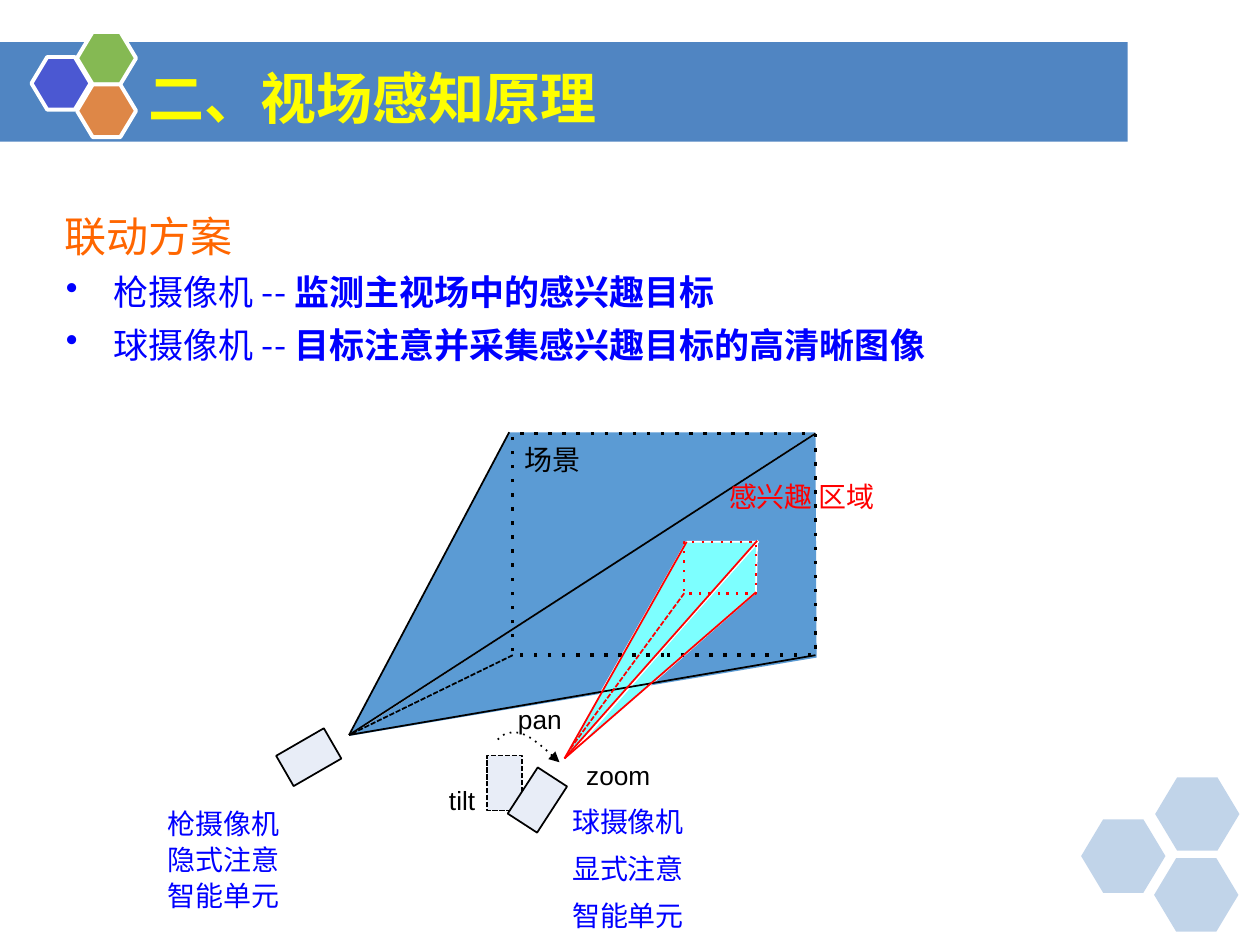
import pptx
import pptx.dml.color
import pptx.enum.shapes
import pptx.enum.text
import pptx.oxml.ns
import pptx.util
from lxml import etree

Pt = pptx.util.Pt
RGB = pptx.dml.color.RGBColor
SHAPE = pptx.enum.shapes.MSO_SHAPE
qn = pptx.oxml.ns.qn

STEEL = RGB(0x50, 0x85, 0xC2)
INDIGO = RGB(0x4B, 0x58, 0xD2)
GREEN = RGB(0x85, 0xB9, 0x53)
COPPER = RGB(0xDE, 0x87, 0x47)
SCENE_BLUE = RGB(0x5B, 0x9B, 0xD4)
CYAN = RGB(0x7D, 0xFF, 0xFF)
CAMERA_GREY = RGB(0xE8, 0xED, 0xF7)
WHITE = RGB(0xFF, 0xFF, 0xFF)
BLACK = RGB(0, 0, 0)
RED = RGB(0xFF, 0, 0)
BLUE = RGB(0, 0, 0xFF)
ORANGE = RGB(0xFF, 0x66, 0)
YELLOW = RGB(0xFF, 0xFF, 0)
CJK = "Noto Sans CJK SC"


def stroke(line, color, weight=1, dash=None, arrow=False):
    line.color.rgb = color
    line.width = Pt(weight)
    ln = line._get_or_add_ln()
    if dash:
        etree.SubElement(ln, qn("a:prstDash"), val=dash)
    if arrow:
        etree.SubElement(ln, qn("a:tailEnd"), type="triangle")


def paint(shape, fill=None, line=None, **line_style):
    shape.shadow.inherit = False
    if fill is None:
        shape.fill.background()
    else:
        shape.fill.solid()
        shape.fill.fore_color.rgb = fill
    if line is None:
        shape.line.fill.background()
    else:
        stroke(shape.line, line, **line_style)
    return shape


def add_preset(slide, kind, left, top, width, height, **style):
    shape = slide.shapes.add_shape(kind, Pt(left), Pt(top), Pt(width), Pt(height))
    return paint(shape, **style)


def add_outline(slide, origin, points, close=True, **style):
    start, *rest = [(Pt(origin[0] + x), Pt(origin[1] + y)) for x, y in points]
    builder = slide.shapes.build_freeform(*start)
    builder.add_line_segments(rest, close=close)
    return paint(builder.convert_to_shape(), **style)


def add_edge(slide, origin, start, end, color, dash=None):
    ends = [Pt(origin[i % 2] + v) for i, v in enumerate((*start, *end))]
    edge = slide.shapes.add_connector(pptx.enum.shapes.MSO_CONNECTOR.STRAIGHT, *ends)
    stroke(edge.line, color, dash=dash)
    etree.SubElement(edge._element.spPr, qn("a:effectLst"))


def add_hexagon(slide, left, top, width, height, **style):
    hexagon = add_preset(slide, SHAPE.HEXAGON, left, top, width, height, **style)
    hexagon.adjustments[0] = 0.3
    return hexagon


def prepare_frame(frame):
    frame.word_wrap = True
    frame.auto_size = pptx.enum.text.MSO_AUTO_SIZE.NONE
    frame.vertical_anchor = pptx.enum.text.MSO_ANCHOR.TOP
    frame.margin_left = frame.margin_top = frame.margin_right = frame.margin_bottom = 0
    return frame


def add_text(slide, left, top, width, height):
    box = slide.shapes.add_textbox(Pt(left), Pt(top), Pt(width), Pt(height))
    return prepare_frame(box.text_frame)


def write(paragraph, text, size, color, pitch, font=CJK, before=0, bold=None):
    """Fill a paragraph; pitch is its exact line height."""
    paragraph.text = text
    paragraph.alignment = pptx.enum.text.PP_ALIGN.LEFT
    paragraph.line_spacing = Pt(pitch)
    paragraph.space_before = Pt(before)
    paragraph.font.size = Pt(size)
    paragraph.font.bold = bold
    paragraph.font.color.rgb = color
    paragraph.font.name = font
    defaults = paragraph._p.get_or_add_pPr().find(qn("a:defRPr"))
    etree.SubElement(defaults, qn("a:ea"), typeface=font)


def add_header(slide, left, top, width, height):
    add_preset(slide, SHAPE.RECTANGLE, left, top, width, height, fill=STEEL)
    for x, y, color in ((18, 8.6, INDIGO), (44, -5.8, GREEN), (44, 24.3, COPPER)):
        add_hexagon(slide, left + x, top + y, 33.8, 30.1, fill=color, line=WHITE, weight=2.25)
    title = slide.shapes.title
    slide.shapes._spTree.append(title._element)  # in front of the band
    title.left, title.top = Pt(left + 85), Pt(top + 12)
    title.width, title.height = Pt(380), Pt(40)
    frame = prepare_frame(title.text_frame)
    write(frame.paragraphs[0], "二、视场感知原理", 32, YELLOW, 38.4, bold=True)


def add_corner_hexagons(slide, left, top):
    for x, y in ((0, 24), (42.3, 0), (41.7, 46.2)):
        hexagon = add_hexagon(slide, left + x, top + y, 48.2, 42, fill=STEEL)
        color = hexagon._element.spPr.find(qn("a:solidFill"))[0]
        etree.SubElement(color, qn("a:alpha"), val="35000")


def add_linkage_plan(slide, left, top, width, height):
    frame = add_text(slide, left, top, width, height)
    write(frame.paragraphs[0], "联动方案", 24, ORANGE, 28.8)
    for camera, duty in (("枪摄像机", "监测主视场中的感兴趣目标"),
                         ("球摄像机", "目标注意并采集感兴趣目标的高清晰图像")):
        paragraph = frame.add_paragraph()
        properties = paragraph._p.get_or_add_pPr()
        properties.set("marL", str(Pt(28)))
        properties.set("indent", str(Pt(-27.4)))
        etree.SubElement(properties, qn("a:buChar"), char="•")
        write(paragraph, f"{camera} -- ", 20, BLUE, 24, before=6)
        run = paragraph.add_run()
        run.text = duty
        run.font.bold = True


def add_scene_view(slide, origin):
    for face in (((370, 0), (195, 0), (103.5, 173)),
                 ((370, 0.7), (104, 173.5), (370.6, 128.8))):
        add_outline(slide, origin, face, fill=SCENE_BLUE)


def add_interest_view(slide, origin):
    for face in (((336.7, 62), (230.9, 183.6), (336, 91.4)),
                 ((337.4, 62.6), (296.4, 62.6), (224.4, 189.3))):
        add_outline(slide, origin, face, fill=CYAN, line=WHITE)


def add_view_edges(slide, origin, frame, weight, color, edges):
    """Draw the dotted far frame of a view and the edges to its camera."""
    x, y, width, height = frame
    add_preset(slide, SHAPE.RECTANGLE, origin[0] + x, origin[1] + y, width, height,
               line=color, weight=weight, dash="dot")
    for start, end, dash in edges:
        add_edge(slide, origin, start, end, color, dash)


def add_camera(slide, origin, center_x, center_y, angle, dash=None):
    width, height = 20, 31.5
    camera = add_preset(slide, SHAPE.RECTANGLE, origin[0] + center_x - width / 2,
                        origin[1] + center_y - height / 2, width, height,
                        fill=CAMERA_GREY, line=BLACK, dash=dash)
    camera.rotation = angle


def add_diagram_labels(slide, left, top):
    for text, x, y, width, size, color, font in (
            ("场景", 203.6, 5.7, 60, 16, BLACK, CJK),
            ("感兴趣 区域", 320.6, 26.8, 110, 16, RED, CJK),
            ("pan", 200, 154.8, 40, 15, BLACK, "Arial"),
            ("tilt", 160.6, 201, 25, 15, BLACK, "Arial")):
        frame = add_text(slide, left + x, top + y, width, 20)
        write(frame.paragraphs[0], text, size, color, size * 1.2, font)

    gun = add_text(slide, left, top + 212.2, 128, 62)
    for i, text in enumerate(("枪摄像机", "隐式注意", "智能单元")):
        paragraph = gun.add_paragraph() if i else gun.paragraphs[0]
        write(paragraph, text, 16, BLUE, 20.6)

    dome = add_text(slide, left + 231, top + 187, 200, 100)
    zoom = dome.paragraphs[0]
    zoom._p.get_or_add_pPr().set("marL", str(Pt(8)))
    write(zoom, "zoom", 15, BLACK, 18, "Arial")
    for text in ("球摄像机", "显式注意", "智能单元"):
        write(dome.add_paragraph(), text, 16, BLUE, 19.6, before=7.3)


def add_diagram(slide, left, top):
    origin = (left, top)
    gun_lens, dome_lens = (103.5, 173), (226.6, 186.4)
    add_scene_view(slide, origin)
    add_interest_view(slide, origin)
    add_view_edges(slide, origin, (197, 0.7, 173, 126.7), 2, BLACK, (
        ((370, 127.4), gun_lens, None), ((195, 0), gun_lens, None),
        ((197, 127.4), gun_lens, "sysDash"), ((370, 0.7), gun_lens, None)))
    add_view_edges(slide, origin, (295, 62.6, 41, 29.5), 1.35, RED, (
        ((295, 92), (230, 180.7), "sysDash"), ((336.7, 62), dome_lens, None),
        ((296.4, 62.6), dome_lens, None), ((336, 91.4), dome_lens, None)))
    add_camera(slide, origin, 80.4, 185.7, 60)
    add_camera(slide, origin, 192.4, 200.5, 0, dash="sysDash")
    add_camera(slide, origin, 211.1, 210.2, 33)
    pan_arc = ((188.4, 175.6), (192, 172.8), (197, 171.3), (202, 172),
               (207.8, 175), (214.3, 180), (223.7, 188.6))
    add_outline(slide, origin, pan_arc, close=False, line=BLACK, dash="dot", arrow=True)
    add_diagram_labels(slide, left, top)


def main():
    deck = pptx.Presentation()
    deck.slide_width, deck.slide_height = Pt(720), Pt(540)
    slide = deck.slides.add_slide(deck.slide_layouts[5])
    add_header(slide, 0, 24, 644.4, 57)
    add_corner_hexagons(slide, 617.8, 444.2)
    add_linkage_plan(slide, 37, 120, 600, 96)
    add_diagram(slide, 96, 247)
    deck.save("out.pptx")


if __name__ == "__main__":
    main()
